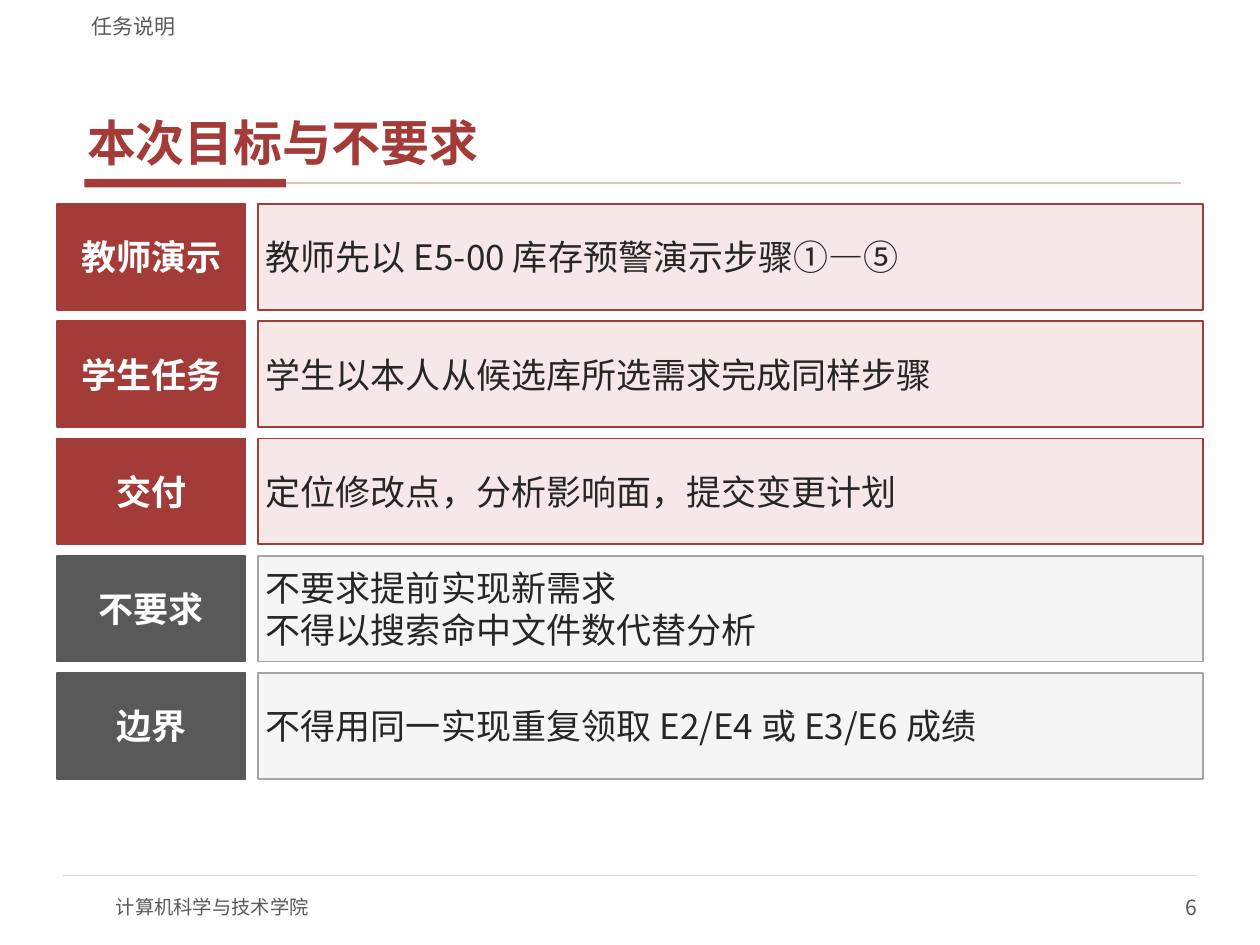
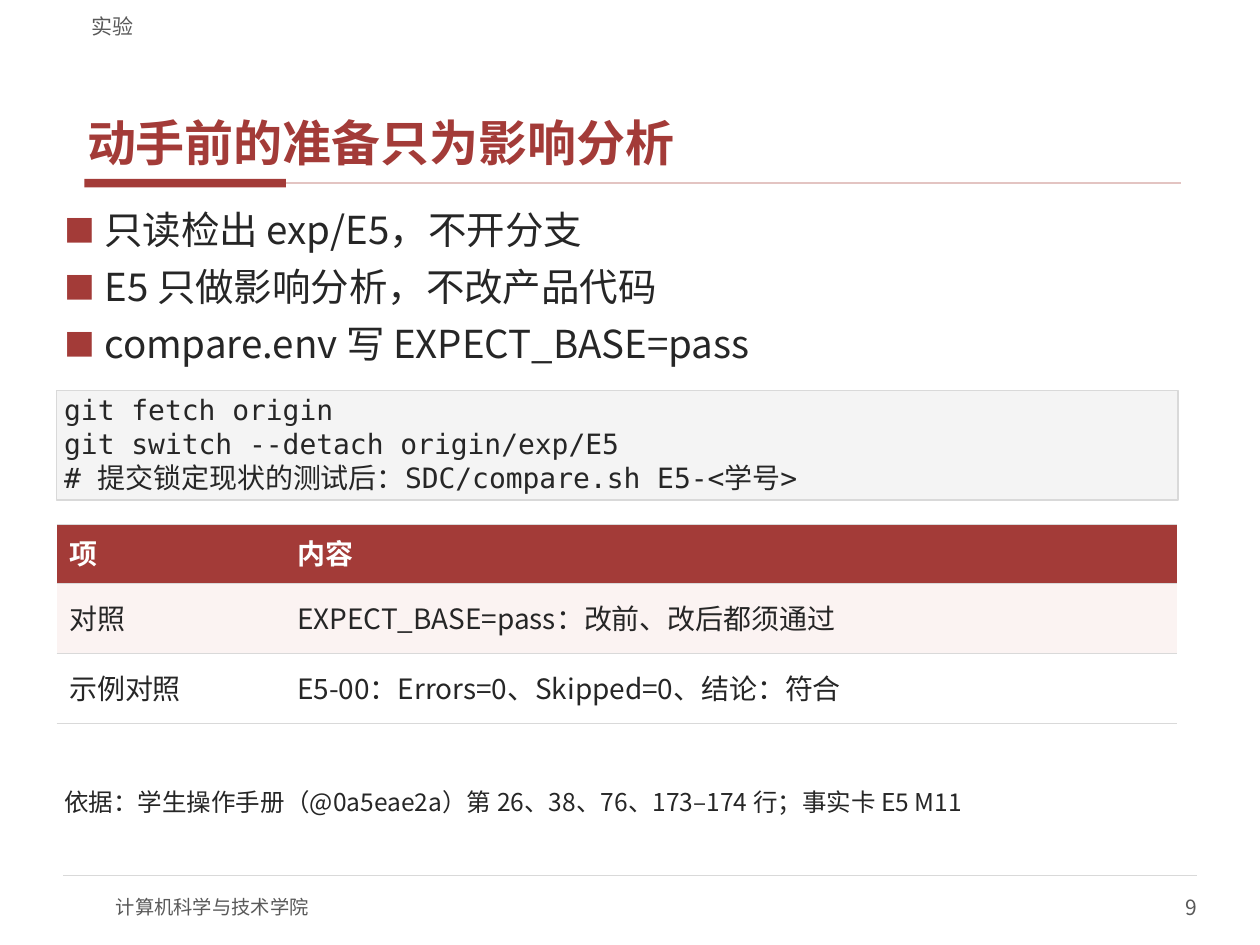
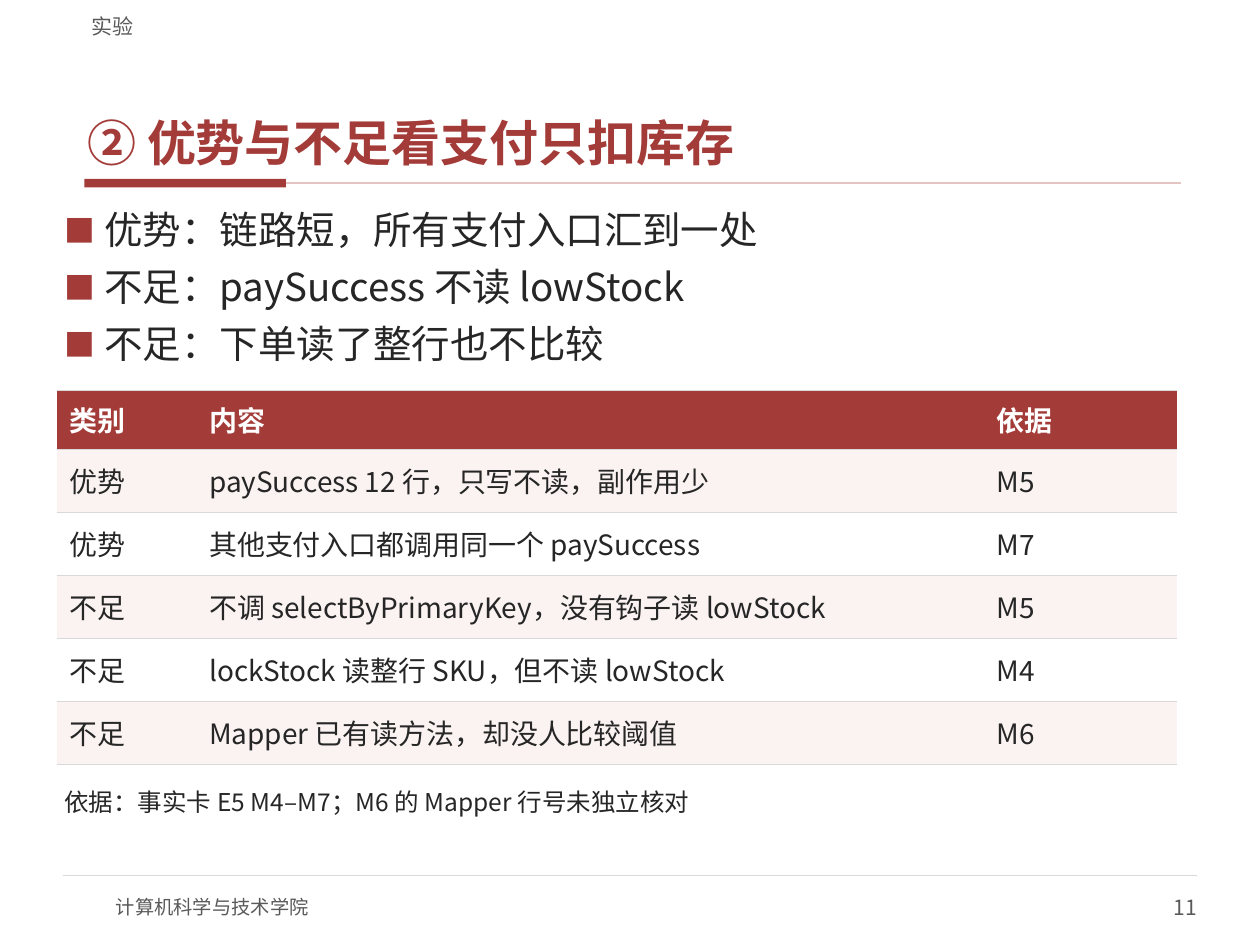
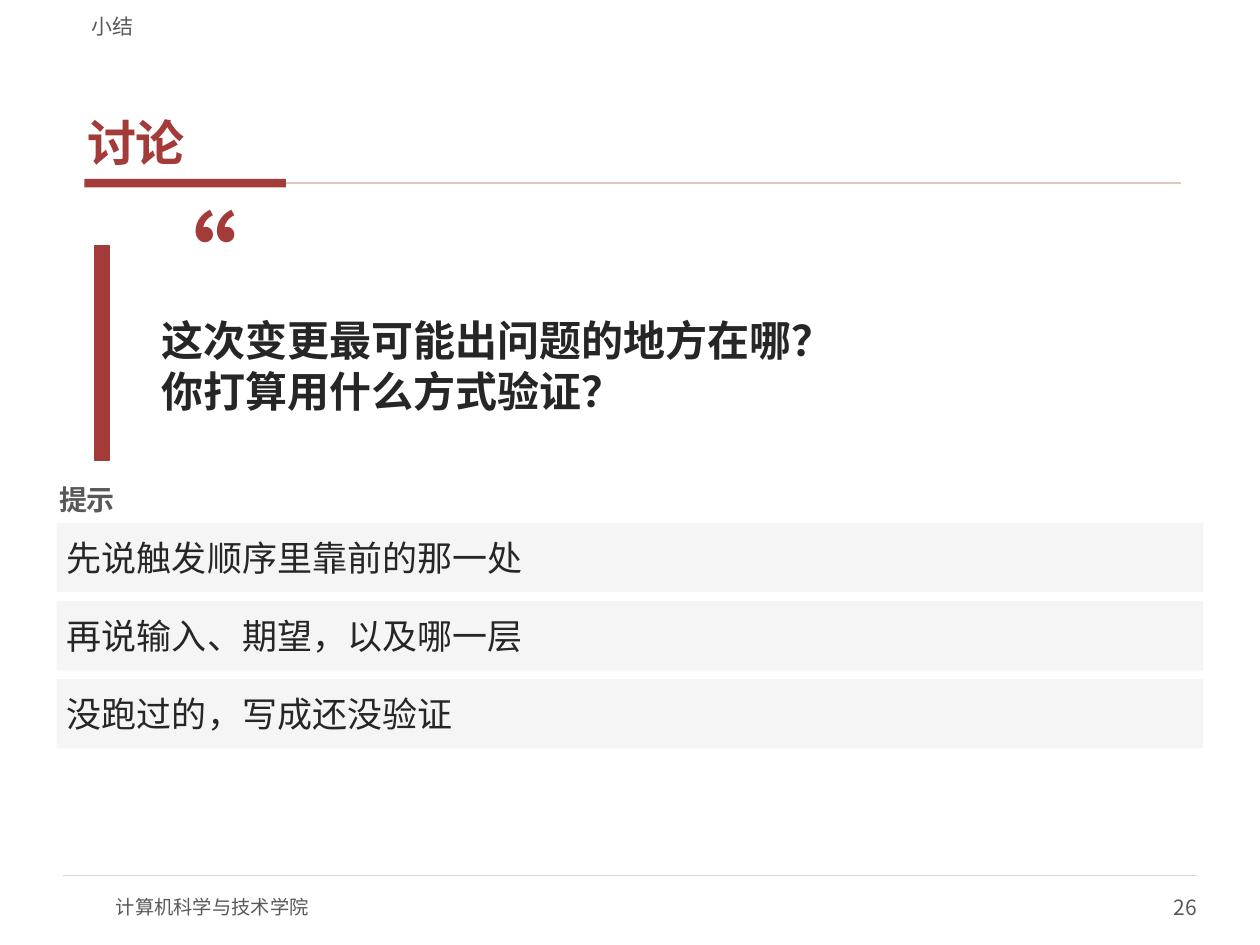
"""Build four lecture slides on change impact analysis."""
import collections
import dataclasses

import lxml.etree
import pptx
import pptx.dml.color
import pptx.enum.shapes
import pptx.enum.text
import pptx.oxml.ns
import pptx.util

Pt = pptx.util.Pt
qn = pptx.oxml.ns.qn
ALIGN = pptx.enum.text.PP_ALIGN
ANCHOR = pptx.enum.text.MSO_ANCHOR
RECTANGLE = pptx.enum.shapes.MSO_SHAPE.RECTANGLE
Box = collections.namedtuple("Box", "left top width height")
Style = collections.namedtuple("Style", "size color bold font", defaults=(False, "Noto Sans CJK SC"))


@dataclasses.dataclass(frozen=True)
class Theme:
    """Colours, type styles and insets of the deck."""

    red: str = "A33B38"
    pale_red: str = "F6E8E6"
    band: str = "FBF3F2"
    title_rule: str = "E3C4C2"
    gray: str = "595959"
    mid_gray: str = "A6A6A6"
    rule: str = "D9D9D9"
    pale_gray: str = "F5F5F5"
    code_fill: str = "F4F4F4"
    white: str = "FFFFFF"
    title: Style = Style(28, "A33B38", True)
    bullet: Style = Style(22, "262626")
    body: Style = Style(20, "262626")
    label: Style = Style(20, "FFFFFF", True)
    table_head: Style = Style(16, "FFFFFF", True)
    table_cell: Style = Style(16, "262626")
    code: Style = Style(16, "262626", False, "DejaVu Sans Mono")
    evidence: Style = Style(14, "262626")
    section: Style = Style(12, "595959")
    footer: Style = Style(11, "595959")
    quote_mark: Style = Style(60, "A33B38", True)
    question: Style = Style(24, "262626", True)
    hint_label: Style = Style(16, "595959", True)
    tight: tuple = (4.3, 1.4)
    roomy: tuple = (5.8, 2.9)


THEME = Theme()
SLIDE_SIZE = (720, 540)
TITLE_BOX = Box(45.4, 23.8, 630, 75.6)
SECTION_BOX = Box(45.4, 2.9, 630, 19.4)
TITLE_BAR_BOX = Box(48.2, 102.2, 115.2, 5)
TITLE_RULE_END = 674.6
FOOTER_RULE = (36, 684, 500.4)
FOOTER_BOX = Box(66.2, 504, 288, 28.8)
PAGE_BOX = Box(540, 504, 144, 28.8)
GOALS_BOX = Box(32.4, 116.6, 655.2, 328.5)
BULLETS_BOX = Box(32.4, 116.6, 655.2, 98.6)
CODE_BOX = Box(32.4, 223.2, 640.8, 62.6)
EVIDENCE_BOX = Box(32.4, 448.6, 655.2, 36)
QUESTION_BOX = Box(54, 111.6, 633.6, 151.2)
HINTS_BOX = Box(32.4, 273.6, 655.2, 154.1)


def rgb(color):
    """Return a colour object for a hex value."""
    return pptx.dml.color.RGBColor.from_string(color)


def lengths(values):
    """Convert numbers to point lengths."""
    return [Pt(value) for value in values]


def write(frame, text, style, align=ALIGN.LEFT, anchor=ANCHOR.TOP, insets=(0, 0), before=0, after=0, spacing=None):
    """Fill a text frame and format its paragraphs and runs."""
    frame.text = text
    frame.word_wrap = True
    frame.auto_size = pptx.enum.text.MSO_AUTO_SIZE.NONE
    frame.vertical_anchor = anchor
    frame.margin_left = frame.margin_right = Pt(insets[0])
    frame.margin_top = frame.margin_bottom = Pt(insets[1])
    for index, paragraph in enumerate(frame.paragraphs):
        paragraph.alignment = align
        paragraph.space_before = Pt(before if index else 0)
        paragraph.space_after = Pt(after)
        paragraph.line_spacing = spacing
        for run in paragraph.runs:
            run.font.size = Pt(style.size)
            run.font.bold = style.bold
            run.font.name = style.font
            run.font.color.rgb = rgb(style.color)
            east_asian = lxml.etree.SubElement(run._r.get_or_add_rPr(), qn("a:ea"))
            east_asian.set("typeface", THEME.body.font)


def add_text(slide, box, text, style, **layout):
    """Add a text box."""
    holder = slide.shapes.add_textbox(*lengths(box))
    write(holder.text_frame, text, style, **layout)
    return holder


def add_panel(slide, box, fill, line=None, weight=1.0):
    """Add a flat rectangle with an optional outline."""
    panel = slide.shapes.add_shape(RECTANGLE, *lengths(box))
    panel.shadow.inherit = False
    panel.fill.solid()
    panel.fill.fore_color.rgb = rgb(fill)
    if line:
        panel.line.color.rgb = rgb(line)
        panel.line.width = Pt(weight)
    else:
        panel.line.fill.background()
    return panel


def add_rule(slide, left, right, height, color, weight):
    """Add a horizontal line without a shadow."""
    straight = pptx.enum.shapes.MSO_CONNECTOR.STRAIGHT
    rule = slide.shapes.add_connector(straight, *lengths((left, height, right, height)))
    rule.line.color.rgb = rgb(color)
    rule.line.width = Pt(weight)
    lxml.etree.SubElement(rule.element.spPr, qn("a:effectLst"))
    return rule


def stack(box, count, gap):
    """Split a box into equal rows with a gap between them."""
    height = (box.height - gap * (count - 1)) / count
    return [Box(box.left, box.top + row * (height + gap), box.width, height) for row in range(count)]


def furnish_master(slide):
    """Draw the shared bar, rules and footer and move them to the master."""
    bar = add_panel(slide, TITLE_BAR_BOX, THEME.red)
    middle = TITLE_BAR_BOX.top + TITLE_BAR_BOX.height / 2
    bar_right = TITLE_BAR_BOX.left + TITLE_BAR_BOX.width
    title_rule = add_rule(slide, bar_right, TITLE_RULE_END, middle, THEME.title_rule, 1)
    title_rule.begin_connect(bar, 3)
    footer_rule = add_rule(slide, *FOOTER_RULE, THEME.rule, 0.75)
    college = add_text(slide, FOOTER_BOX, "计算机科学与技术学院", THEME.footer, anchor=ANCHOR.MIDDLE)
    master = slide.slide_layout.slide_master
    for part in (bar, title_rule, footer_rule, college):
        for node in part.element.xpath(".//p:cNvPr | .//a:stCxn"):
            node.set("id", str(int(node.get("id")) + 100))
        master.shapes.element.append(part.element)


def start_slide(deck, layout_index, section, title, page):
    """Add a slide with its title, section name and page number."""
    slide = deck.slides.add_slide(deck.slide_layouts[layout_index])
    if len(deck.slides) == 1:
        furnish_master(slide)
    heading = slide.shapes.title
    place(heading, TITLE_BOX)
    write(heading.text_frame, title, THEME.title, anchor=ANCHOR.BOTTOM, insets=THEME.tight, after=2)
    add_text(slide, SECTION_BOX, section, THEME.section, anchor=ANCHOR.BOTTOM, insets=(7.2, 0))
    add_text(slide, PAGE_BOX, str(page), THEME.section, align=ALIGN.RIGHT, anchor=ANCHOR.MIDDLE)
    return slide


def place(holder, box):
    """Move a placeholder into a box."""
    holder.left, holder.top, holder.width, holder.height = lengths(box)


def add_goals(slide, box, goals):
    """Stack labelled rows, red for tasks and gray for limits."""
    label_width, gap = 108, 7.2
    for row, (label, text, is_task) in zip(stack(box, len(goals), 6.5), goals):
        label_fill = THEME.red if is_task else THEME.gray
        label_panel = add_panel(slide, row._replace(width=label_width), label_fill, label_fill)
        write(label_panel.text_frame, label, THEME.label, ALIGN.CENTER, ANCHOR.MIDDLE, THEME.roomy)
        indent = label_width + gap
        text_box = row._replace(left=row.left + indent, width=row.width - indent)
        fill, line = (THEME.pale_red, THEME.red) if is_task else (THEME.pale_gray, THEME.mid_gray)
        text_panel = add_panel(slide, text_box, fill, line)
        write(text_panel.text_frame, text, THEME.body, anchor=ANCHOR.MIDDLE, insets=(4.3, 2.2))


def add_bullets(slide, box, points):
    """Fill the body placeholder with square-bulleted points."""
    body = slide.placeholders[1]
    place(body, box)
    write(body.text_frame, "\n".join(points), THEME.bullet, insets=THEME.tight, before=4, after=2)
    for paragraph in body.text_frame.paragraphs:
        properties = paragraph._p.get_or_add_pPr()
        properties.set("marL", str(Pt(23)))
        properties.set("indent", str(-Pt(23)))
        color = lxml.etree.SubElement(properties, qn("a:buClr"))
        lxml.etree.SubElement(color, qn("a:srgbClr"), val=THEME.red)
        lxml.etree.SubElement(properties, qn("a:buSzPct"), val="80000")
        lxml.etree.SubElement(properties, qn("a:buFont"), typeface=THEME.bullet.font)
        lxml.etree.SubElement(properties, qn("a:buChar"), char="■")


def add_code(slide, box, lines):
    """Add a bordered panel of code lines."""
    panel = add_panel(slide, box, THEME.code_fill, THEME.rule, 0.75)
    write(panel.text_frame, "\n".join(lines), THEME.code, insets=THEME.tight)


def border_cell(cell):
    """Give a cell thin lines above and below only."""
    properties = cell._tc.get_or_add_tcPr()
    for side in ("a:lnL", "a:lnR"):
        edge = lxml.etree.SubElement(properties, qn(side))
        lxml.etree.SubElement(edge, qn("a:noFill"))
    for side in ("a:lnT", "a:lnB"):
        edge = lxml.etree.SubElement(properties, qn(side), w=str(Pt(0.75)))
        fill = lxml.etree.SubElement(edge, qn("a:solidFill"))
        lxml.etree.SubElement(fill, qn("a:srgbClr"), val=THEME.rule)


def add_grid(slide, left, top, widths, row_height, rows):
    """Add a table with a red header and alternating rows."""
    heights = [33.8] + [row_height] * (len(rows) - 1)
    box = Box(left, top, sum(widths), sum(heights))
    table = slide.shapes.add_table(len(rows), len(widths), *lengths(box)).table
    for column, width in zip(table.columns, widths):
        column.width = Pt(width)
    for index, (height, texts) in enumerate(zip(heights, rows)):
        table.rows[index].height = Pt(height)
        style = THEME.table_cell if index else THEME.table_head
        fill = (THEME.band if index % 2 else THEME.white) if index else THEME.red
        for column, text in enumerate(texts):
            cell = table.cell(index, column)
            border_cell(cell)
            cell.fill.solid()
            cell.fill.fore_color.rgb = rgb(fill)
            write_cell(cell, text, style)


def write_cell(cell, text, style):
    """Write one table cell, centred vertically."""
    write(cell.text_frame, text, style, insets=(7.2, 3.6), after=2, spacing=0.9)
    cell.vertical_anchor = ANCHOR.MIDDLE
    cell.margin_left = cell.margin_right = Pt(7.2)
    cell.margin_top = cell.margin_bottom = Pt(3.6)


def add_evidence(slide, box, text):
    """Add the line that names the evidence."""
    add_text(slide, box, text, THEME.evidence, insets=THEME.tight, after=2)


def add_question(slide, box, question):
    """Add a question beside a red bar, under a large quotation mark."""
    bar_box = Box(box.left, box.top + 28.8, 8.6, box.height - 28.8)
    add_panel(slide, bar_box, THEME.red, THEME.red)
    add_text(slide, Box(box.left + 21.6, box.top, 72, 72), "“", THEME.quote_mark)
    text_box = Box(box.left + 32.4, box.top + 43.2, box.width - 32.4, box.height - 43.2)
    add_text(slide, text_box, question, THEME.question, anchor=ANCHOR.MIDDLE, insets=THEME.roomy)


def add_hints(slide, box, label, hints):
    """Add a label above a stack of gray hint bars."""
    add_text(slide, Box(box.left, box.top, 216, 23), label, THEME.hint_label,
             anchor=ANCHOR.MIDDLE, insets=(1.4, 0.7))
    bars = box._replace(top=box.top + 25.2, height=box.height - 25.2)
    for bar, hint in zip(stack(bars, len(hints), 5), hints):
        panel = add_panel(slide, bar, THEME.pale_gray)
        write(panel.text_frame, hint, THEME.body, anchor=ANCHOR.MIDDLE, insets=THEME.roomy)


def build_goals(deck):
    """Build the slide of goals and limits."""
    slide = start_slide(deck, 5, "任务说明", "本次目标与不要求", 6)
    add_goals(slide, GOALS_BOX, [
        ("教师演示", "教师先以 E5-00 库存预警演示步骤①—⑤", True),
        ("学生任务", "学生以本人从候选库所选需求完成同样步骤", True),
        ("交付", "定位修改点，分析影响面，提交变更计划", True),
        ("不要求", "不要求提前实现新需求\n不得以搜索命中文件数代替分析", False),
        ("边界", "不得用同一实现重复领取 E2/E4 或 E3/E6 成绩", False),
    ])


def build_preparation(deck):
    """Build the slide on preparing for the analysis."""
    slide = start_slide(deck, 1, "实验", "动手前的准备只为影响分析", 9)
    add_bullets(slide, BULLETS_BOX, [
        "只读检出 exp/E5，不开分支",
        "E5 只做影响分析，不改产品代码",
        "compare.env 写 EXPECT_BASE=pass",
    ])
    add_code(slide, CODE_BOX, [
        "git fetch origin",
        "git switch --detach origin/exp/E5",
        "# 提交锁定现状的测试后：SDC/compare.sh E5-<学号>",
    ])
    add_grid(slide, 32.4, 299.5, (130.3, 509.8), 40, [
        ("项", "内容"),
        ("对照", "EXPECT_BASE=pass：改前、改后都须通过"),
        ("示例对照", "E5-00：Errors=0、Skipped=0、结论：符合"),
    ])
    add_evidence(slide, EVIDENCE_BOX,
                 "依据：学生操作手册（@0a5eae2a）第 26、38、76、173–174 行；事实卡 E5 M11")


def build_tradeoffs(deck):
    """Build the slide on strengths and weaknesses."""
    slide = start_slide(deck, 1, "实验", "② 优势与不足看支付只扣库存", 11)
    add_bullets(slide, BULLETS_BOX, [
        "优势：链路短，所有支付入口汇到一处",
        "不足：paySuccess 不读 lowStock",
        "不足：下单读了整行也不比较",
    ])
    add_grid(slide, 32.4, 223.2, (80, 450, 110.1), 36, [
        ("类别", "内容", "依据"),
        ("优势", "paySuccess 12 行，只写不读，副作用少", "M5"),
        ("优势", "其他支付入口都调用同一个 paySuccess", "M7"),
        ("不足", "不调 selectByPrimaryKey，没有钩子读 lowStock", "M5"),
        ("不足", "lockStock 读整行 SKU，但不读 lowStock", "M4"),
        ("不足", "Mapper 已有读方法，却没人比较阈值", "M6"),
    ])
    add_evidence(slide, EVIDENCE_BOX, "依据：事实卡 E5 M4–M7；M6 的 Mapper 行号未独立核对")


def build_discussion(deck):
    """Build the discussion slide."""
    slide = start_slide(deck, 5, "小结", "讨论", 26)
    add_question(slide, QUESTION_BOX, "这次变更最可能出问题的地方在哪？\v你打算用什么方式验证？")
    add_hints(slide, HINTS_BOX, "提示", [
        "先说触发顺序里靠前的那一处",
        "再说输入、期望，以及哪一层",
        "没跑过的，写成还没验证",
    ])


def main():
    """Build and save the deck."""
    deck = pptx.Presentation()
    deck.slide_width, deck.slide_height = lengths(SLIDE_SIZE)
    for build in (build_goals, build_preparation, build_tradeoffs, build_discussion):
        build(deck)
    deck.save("out.pptx")


if __name__ == "__main__":
    main()
